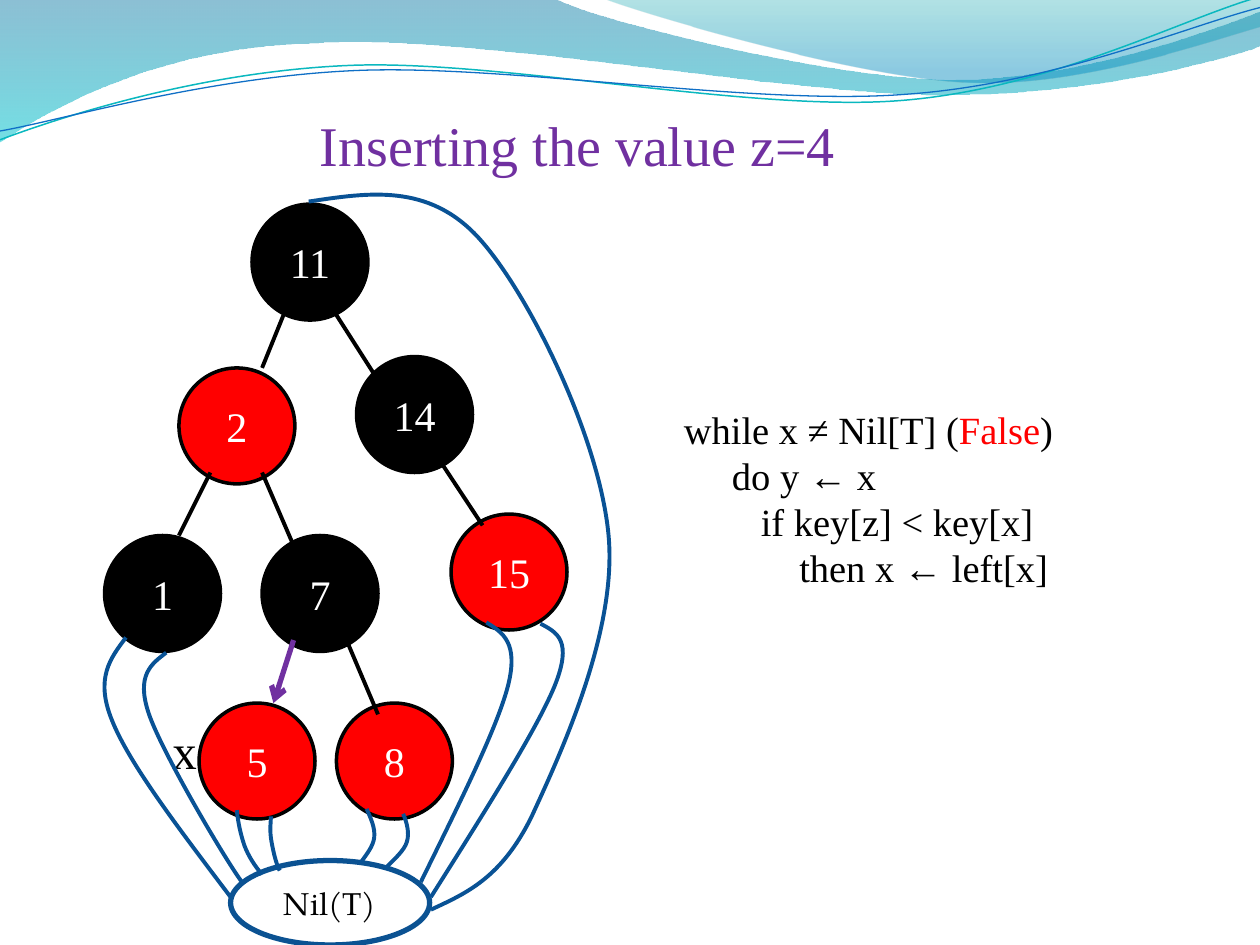
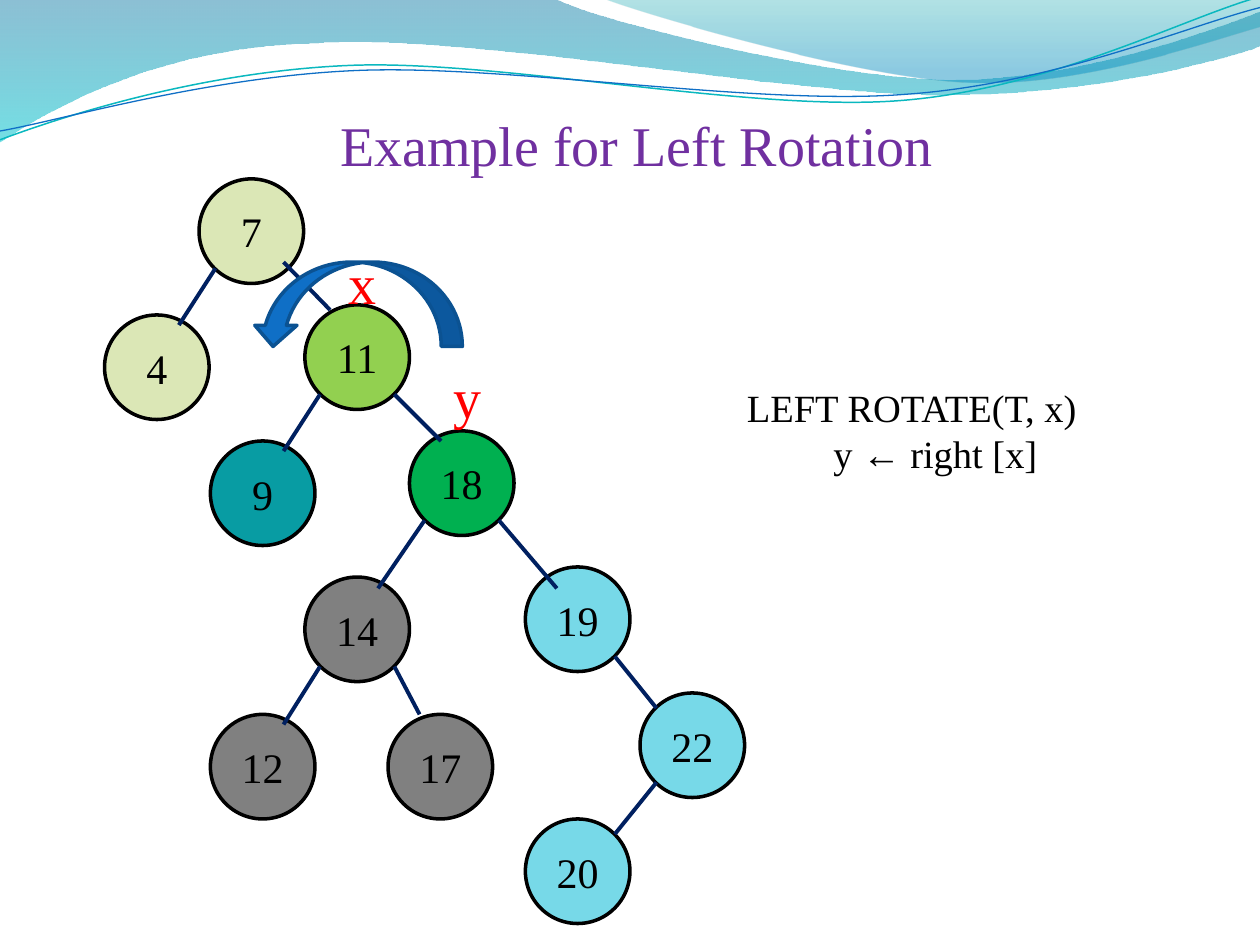
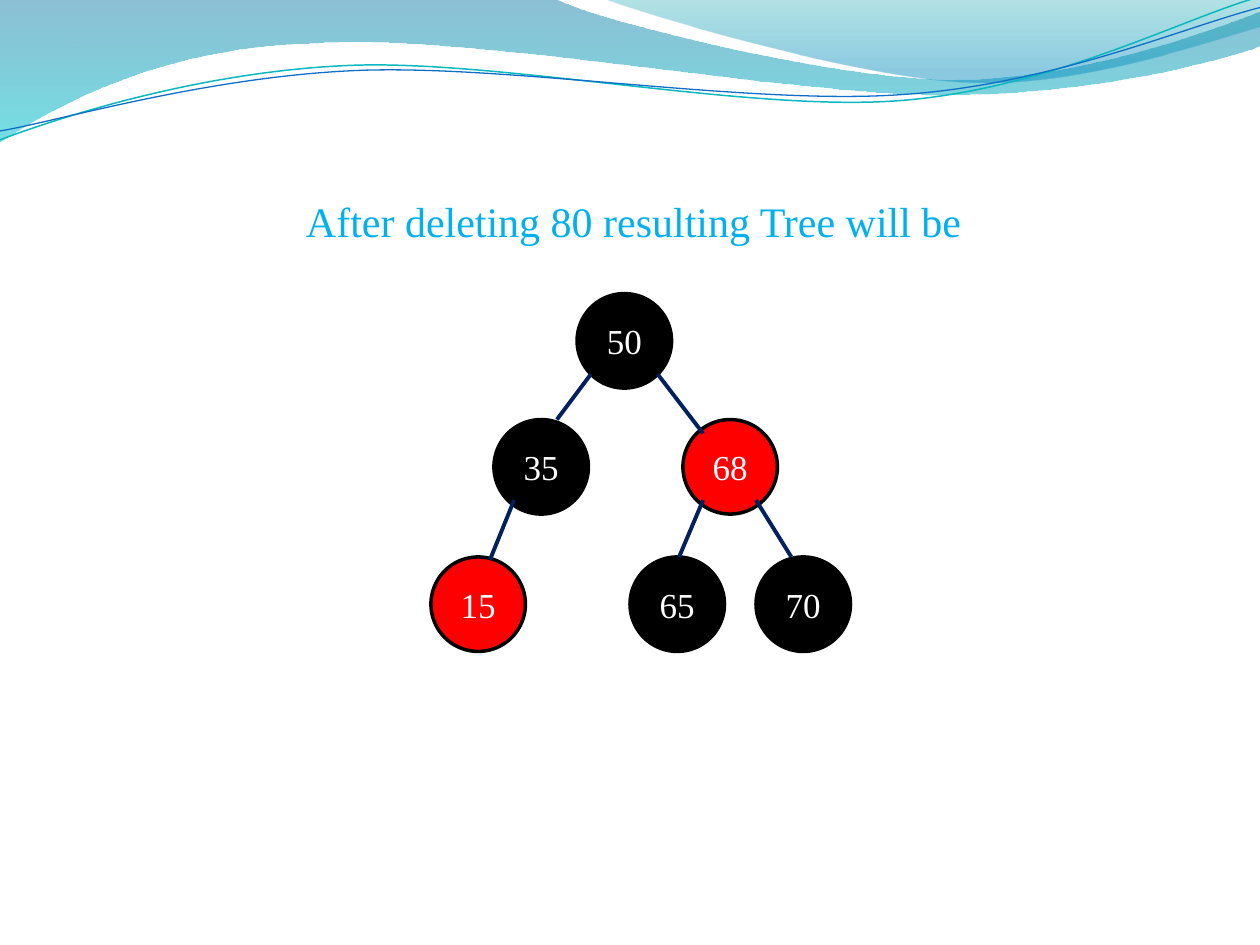
"""Three red-black tree slides: insertion, left rotation and deletion."""
import pptx
import pptx.dml.color
import pptx.enum.shapes
import pptx.enum.text
import pptx.oxml.ns
import pptx.util
from lxml import etree

Inches = pptx.util.Inches
Pt = pptx.util.Pt
SHAPES = pptx.enum.shapes.MSO_SHAPE
ALIGN = pptx.enum.text.PP_ALIGN
qn = pptx.oxml.ns.qn

SERIF = "Times New Roman"
BLACK, WHITE, RED, PURPLE, NAVY = "000000", "FFFFFF", "FF0000", "7030A0", "002060"
SAND, SKY, GRAY, BLUE, DARK_BLUE = "DBE7B6", "77D9E8", "808080", "0F6FC6", "0B5292"
LOOP_BLUE, LINE_WIDTH = "095295", 2.25

# A path is a list of tuples: two numbers are a point, six a Bezier curve.
WAVE_BANDS = [
    ([(0, 0), (4.4, -0.01), (4.76, 0.17, 6.64, 0.63, 7.58, 0.63),
      (8.53, 0.63, 9.58, 0.26, 10, 0.09), (10.01, 0.36),
      (9.83, 0.44, 8.7, 0.76, 7.46, 0.75), (6.22, 0.75, 3.82, 0.28, 2.57, 0.34),
      (1.29, 0.36, 0.46, 0.83, -0.01, 1.13)],
     [(0, "0074A1", 45), (1, "00C6CF", 55)]),
    ([(4.79, -0.01), (5.09, 0.11, 6.82, 0.62, 7.69, 0.65),
      (8.56, 0.69, 9.61, 0.32, 10, 0.21), (10, 0)],
     [(0, "00A1A9", 30), (0.8, "008BBF", 45)]),
]
WAVE_LINES = [
    ([(0, 1.11), (0.48, 0.93, 1.58, 0.57, 2.77, 0.52),
      (3.95, 0.47, 5.93, 0.89, 7.13, 0.8), (8.33, 0.71, 9.38, 0.15, 9.98, -0.02)],
     "0AB8BF", 0.85),
    ([(0, 1.04), (0.47, 0.96, 1.64, 0.61, 2.83, 0.56),
      (4.03, 0.51, 5.97, 0.84, 7.17, 0.75), (8.36, 0.67, 9.41, 0.21, 10, 0.06)],
     BLUE, 0.75),
]

INSERTION = {
    "size": 0.92, "points": 24, "ink": WHITE, "edge": BLACK,
    "nodes": [("11", 2, 1.62, BLACK), ("2", 1.42, 2.92, RED), ("14", 2.83, 2.83, BLACK),
              ("1", 0.83, 4.25, BLACK), ("7", 2.08, 4.25, BLACK), ("15", 3.58, 4.08, RED),
              ("5", 1.58, 5.58, RED), ("8", 2.67, 5.58, RED)],
    "edges": [(2.25, 2.5, 2.08, 2.92), (2.67, 2.5, 2.97, 2.97), (3.5, 3.67, 3.83, 4.17),
              (2.08, 3.75, 2.33, 4.33), (1.67, 3.75, 1.42, 4.25), (2.75, 5.08, 3, 5.67)],
}
ROTATION = {
    "size": 0.83, "points": 24, "ink": BLACK, "edge": NAVY,
    "nodes": [("7", 1.58, 1.42, SAND), ("11", 2.42, 2.42, "92D050"),
              ("18", 3.25, 3.42, "00B050"), ("19", 4.17, 4.5, SKY), ("22", 5.08, 5.5, SKY),
              ("4", 0.83, 2.5, SAND), ("9", 1.67, 3.5, "089CA3"), ("14", 2.42, 4.58, GRAY),
              ("12", 1.67, 5.67, GRAY), ("17", 3.08, 5.67, GRAY), ("20", 4.17, 6.5, SKY)],
    "edges": [(1.71, 2.13, 1.42, 2.58), (2.25, 2.08, 2.62, 2.46), (3.13, 3.13, 3.5, 3.5),
              (3.96, 4.13, 4.42, 4.67), (4.88, 5.21, 5.21, 5.62), (2.54, 3.13, 2.25, 3.58),
              (3.37, 4.13, 3, 4.67), (2.54, 5.29, 2.25, 5.75), (3.13, 5.29, 3.33, 5.67),
              (5.21, 6.21, 4.88, 6.62)],
}
DELETION = {
    "size": 0.75, "points": 20, "ink": WHITE, "edge": NAVY,
    "nodes": [("50", 4.58, 2.33, BLACK), ("35", 3.92, 3.33, BLACK), ("68", 5.42, 3.33, RED),
              ("15", 3.42, 4.42, RED), ("65", 5, 4.42, BLACK), ("70", 6, 4.42, BLACK)],
    "edges": [(5.22, 2.97, 5.58, 3.44), (6, 3.97, 6.28, 4.42), (4.69, 2.97, 4.42, 3.33),
              (5.58, 3.97, 5.39, 4.42), (4.08, 3.97, 3.89, 4.44)],
}
NIL_LOOPS = [
    [(1, 5.06), (0.88, 5.22, 0.75, 5.38, 0.89, 5.72), (1.03, 6.07, 1.43, 6.59, 1.83, 7.12)],
    [(1.32, 5.18), (1.2, 5.27, 1.08, 5.36, 1.18, 5.66), (1.28, 5.96, 1.78, 6.81, 1.92, 7)],
    [(1.88, 6.43), (1.89, 6.53, 1.91, 6.62, 1.94, 6.71), (1.97, 6.79, 2.02, 6.87, 2.08, 6.94)],
    [(2.15, 6.48), (2.15, 6.53, 2.14, 6.57, 2.15, 6.65), (2.16, 6.72, 2.19, 6.86, 2.22, 6.91)],
    [(2.91, 6.42), (2.94, 6.49, 2.98, 6.57, 2.97, 6.65), (2.96, 6.72, 2.91, 6.78, 2.86, 6.85)],
    [(3.2, 6.46), (3.23, 6.53, 3.25, 6.61, 3.23, 6.68), (3.21, 6.75, 3.13, 6.82, 3.06, 6.89)],
    [(3.86, 4.94), (3.99, 5.02, 4.12, 5.1, 4.03, 5.45), (3.94, 5.79, 3.64, 6.39, 3.34, 7)],
    [(4.29, 4.95), (4.42, 5.02, 4.55, 5.08, 4.4, 5.45), (4.25, 5.81, 3.83, 6.47, 3.42, 7.12)],
    [(2.45, 1.6), (2.92, 1.53, 3.4, 1.45, 3.8, 1.89), (4.2, 2.33, 4.76, 3.48, 4.83, 4.25),
     (4.9, 5.01, 4.45, 5.98, 4.22, 6.48), (3.98, 6.97, 3.7, 7.09, 3.42, 7.22)],
]
INSERT_CODE = [
    [("while x ≠ Nil[T] (", BLACK), ("False", RED), (")", BLACK)],
    "     do y ← x",
    "        if key[z] < key[x]",
    "            then x ← left[x]",
]
ROTATE_CODE = ["LEFT ROTATE(T, x)", "         y ← right [x]"]


def color(value):
    return pptx.dml.color.RGBColor.from_string(value)


def set_line(shape, value, width):
    shape.line.color.rgb = color(value)
    shape.line.width = Pt(width)


def write(frame, lines, points, ink, align=ALIGN.LEFT, face=SERIF):
    for index, line in enumerate(lines):
        para = frame.paragraphs[0] if index == 0 else frame.add_paragraph()
        para.alignment = align
        para.font.name = face
        para.font.size = Pt(points)
        if isinstance(line, str):
            para.add_run().text = line
            para.font.color.rgb = color(ink)
            continue
        for text, span_ink in line:
            span = para.add_run()
            span.text = text
            span.font.color.rgb = color(span_ink)


def add_text(page, area, lines, points, ink, align=ALIGN.LEFT, wrap=False):
    box = page.shapes.add_textbox(*map(Inches, area))
    box.text_frame.word_wrap = wrap
    write(box.text_frame, lines, points, ink, align)


def add_preset(page, kind, area, fill, line, width):
    shape = page.shapes.add_shape(kind, *map(Inches, area))
    shape.shadow.inherit = False
    shape.fill.solid()
    shape.fill.fore_color.rgb = color(fill)
    set_line(shape, line, width)
    return shape


def add_ellipse(page, area, fill, line, width, label, points, ink, face=SERIF):
    ellipse = add_preset(page, SHAPES.OVAL, area, fill, line, width)
    ellipse.text_frame.vertical_anchor = pptx.enum.text.MSO_ANCHOR.MIDDLE
    write(ellipse.text_frame, [label], points, ink, ALIGN.CENTER, face)


def add_line(page, ends, value, width):
    line = page.shapes.add_connector(pptx.enum.shapes.MSO_CONNECTOR.STRAIGHT,
                                     *map(Inches, ends))
    set_line(line, value, width)
    etree.SubElement(line._element.spPr, qn("a:effectLst"))
    return line


def add_path(page, steps, close=False):
    """Build the outline through all points, then merge each curve's three into one."""
    points = [tuple(map(Inches, step[i:i + 2])) for step in steps for i in range(0, len(step), 2)]
    builder = page.shapes.build_freeform(*points[0])
    builder.add_line_segments(points[1:], close=close)
    shape = builder.convert_to_shape()
    shape.shadow.inherit = False
    segments = iter(list(shape._element.iter(qn("a:lnTo"))))
    for step in steps[1:]:
        segment = next(segments)
        if len(step) == 6:
            segment.tag = qn("a:cubicBezTo")
            for _ in range(2):
                extra = next(segments)
                segment.append(extra[0])
                extra.getparent().remove(extra)
    return shape


def add_curve(page, steps, value, width):
    curve = add_path(page, steps)
    curve.fill.background()
    set_line(curve, value, width)


def add_page(deck):
    page = deck.slides.add_slide(deck.slide_layouts[6])
    for steps, stops in WAVE_BANDS:
        band = add_path(page, steps, close=True)
        band.line.fill.background()
        band.fill.gradient()
        band.fill.gradient_angle = 270
        for stop, (position, value, opacity) in zip(band.fill.gradient_stops, stops):
            stop.position = position
            stop.color.rgb = color(value)
        for tint, (_, _, opacity) in zip(band._element.spPr.iter(qn("a:srgbClr")), stops):
            etree.SubElement(tint, qn("a:alpha"), val=str(opacity * 1000))
    for steps, value, width in WAVE_LINES:
        add_curve(page, steps, value, width)
    return page


def add_title(page, area, text):
    add_text(page, area, [text], 32, PURPLE, ALIGN.CENTER)


def add_tree(page, tree):
    size = tree["size"]
    for label, left, top, fill in tree["nodes"]:
        add_ellipse(page, (left, top, size, size), fill, BLACK, 2, label,
                    tree["points"], tree["ink"])
    for ends in tree["edges"]:
        add_line(page, ends, tree["edge"], LINE_WIDTH)


def insertion_page(deck):
    page = add_page(deck)
    add_tree(page, INSERTION)
    add_ellipse(page, (1.83, 6.83, 1.58, 0.67), WHITE, DARK_BLUE, 3, "Nil(T)", 18, BLACK,
                "TeX Gyre Pagella")
    add_title(page, (2.42, 0.83, 4.33, 0.64), "Inserting the value z=4")
    add_text(page, (1.27, 5.67, 0.4, 0.57), ["x"], 28, BLACK)
    arrow = add_line(page, (2.33, 5.08, 2.17, 5.58), PURPLE, 3)
    etree.SubElement(arrow.line._get_or_add_ln(), qn("a:tailEnd"), type="arrow")
    add_text(page, (5.33, 3.17, 5, 1.95), INSERT_CODE, 22, BLACK, wrap=True)
    for loop in NIL_LOOPS:
        add_curve(page, loop, LOOP_BLUE, LINE_WIDTH)


def rotation_page(deck):
    page = add_page(deck)
    add_title(page, (2.58, 0.83, 4.95, 0.64), "Example for Left Rotation")
    add_tree(page, ROTATION)
    for name, left, top in [("x", 2.67, 1.92), ("y", 3.5, 2.83)]:
        add_text(page, (left, top, 0.43, 0.64), [name], 32, RED)
    turn = add_preset(page, SHAPES.CURVED_DOWN_ARROW, (2, 2.08, 1.67, 0.67),
                      BLUE, DARK_BLUE, 2)
    turn._element.spPr.find(qn("a:xfrm")).set("flipH", "1")
    add_text(page, (5.83, 3, 3.28, 1.14), ROTATE_CODE, 22, BLACK, wrap=True)


def deletion_page(deck):
    page = add_page(deck)
    add_tree(page, DELETION)
    add_text(page, (2.33, 1.5, 5.45, 0.5), ["After deleting 80 resulting Tree will be"],
             24, "00B0F0")


def main():
    deck = pptx.Presentation()
    deck.slide_width, deck.slide_height = Inches(10), Inches(7.5)
    insertion_page(deck)
    rotation_page(deck)
    deletion_page(deck)
    deck.save("out.pptx")


if __name__ == "__main__":
    main()
